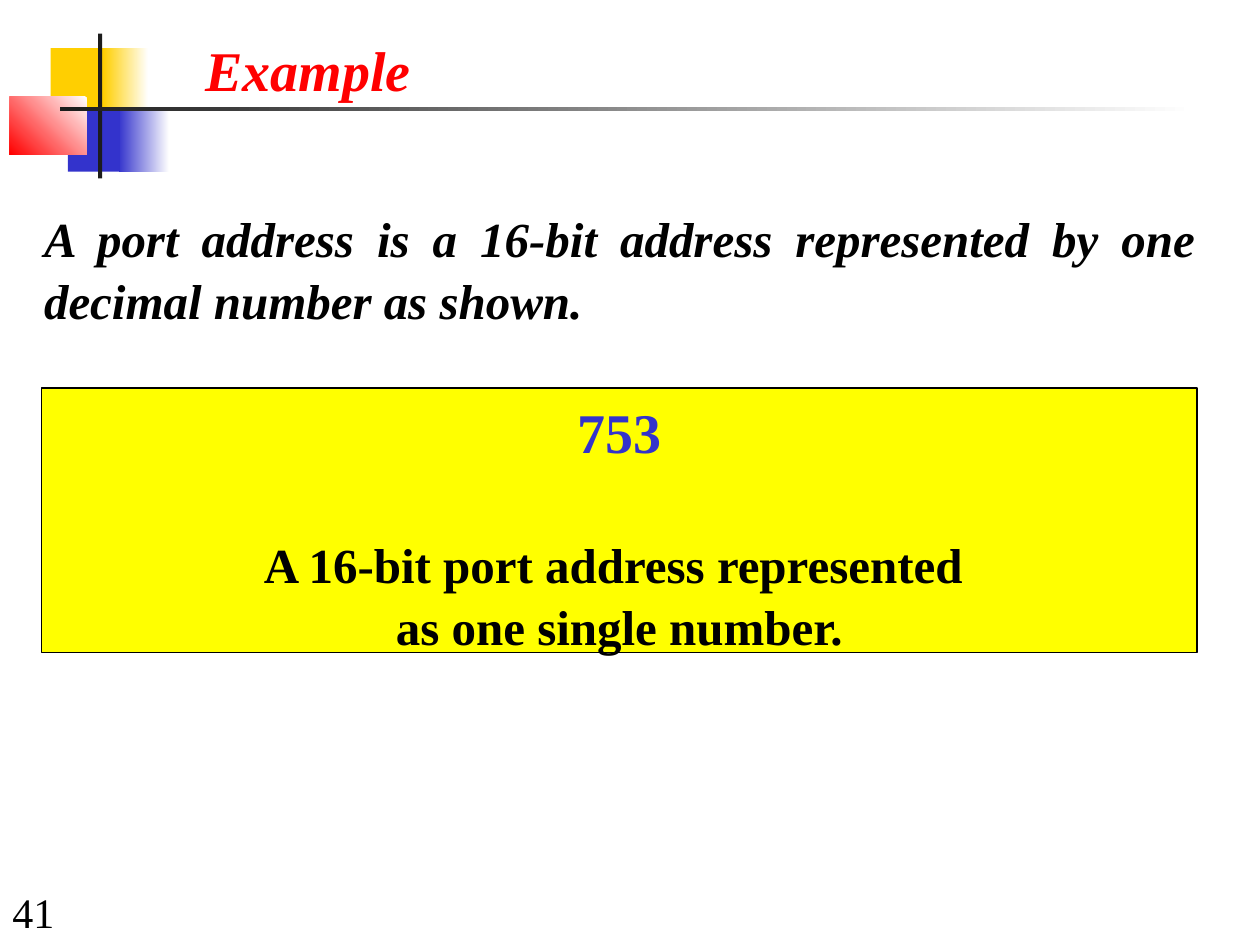
import pptx
import pptx.dml.color
import pptx.enum.shapes
import pptx.enum.text
import pptx.util

ALIGN = pptx.enum.text.PP_ALIGN
ANCHOR = pptx.enum.text.MSO_ANCHOR
RED, BLUE, GOLD = "FF0000", "3333CC", "FFCF01"
YELLOW, BLACK, WHITE, CHARCOAL = "FFFF00", "000000", "FFFFFF", "1C1C1C"


def color(value):
    return pptx.dml.color.RGBColor.from_string(value)


def lengths(*values):
    return [pptx.util.Cm(value) for value in values]


class SlideBuilder:
    font_name = "Times New Roman"
    line_spacing = 1.05

    def __init__(self, deck):
        self.page = deck.slides.add_slide(deck.slide_layouts[5])

    def rectangle(self, place, fill, fade_angle=None, line=None):
        shape = self.page.shapes.add_shape(
            pptx.enum.shapes.MSO_SHAPE.RECTANGLE, *lengths(*place))
        shape.shadow.inherit = False
        if fade_angle is None:
            shape.fill.solid()
            shape.fill.fore_color.rgb = color(fill)
        else:
            shape.fill.gradient()
            shape.fill.gradient_angle = fade_angle
            for stop, value in zip(shape.fill.gradient_stops, (WHITE, fill)):
                stop.color.rgb = color(value)
        if line:
            shape.line.color.rgb = color(line)
            shape.line.width = pptx.util.Pt(0.75)
        else:
            shape.line.fill.background()
        return shape

    def frame(self, box, anchor=ANCHOR.TOP, wrap=True):
        frame = box.text_frame
        frame.word_wrap = wrap
        frame.auto_size = pptx.enum.text.MSO_AUTO_SIZE.NONE
        frame.vertical_anchor = anchor
        frame.margin_left, frame.margin_top, frame.margin_right, frame.margin_bottom = lengths(
            0.25, 0.13, 0.25, 0.13)
        return frame

    def add_lines(self, para, lines, size, ink=BLACK, align=ALIGN.LEFT, bold=True, italic=False):
        para.alignment = align
        para.line_spacing = self.line_spacing
        for index, line in enumerate(lines):
            if index:
                para.add_line_break()
            span = para.add_run()
            span.text = line
            span.font.name = self.font_name
            span.font.size = pptx.util.Pt(size)
            span.font.bold = bold
            span.font.italic = italic
            span.font.color.rgb = color(ink)

    def title(self, place, text):
        box = self.page.shapes.title
        box.left, box.top, box.width, box.height = lengths(*place)
        frame = self.frame(box, wrap=False)
        self.add_lines(frame.paragraphs[0], [text], 32, RED, italic=True)

    def text(self, place, text, size, anchor=ANCHOR.TOP, **style):
        box = self.page.shapes.add_textbox(*lengths(*place))
        self.add_lines(self.frame(box, anchor).paragraphs[0], [text], size, **style)

    def panel(self, place, heading, lines):
        frame = self.frame(self.rectangle(place, YELLOW, line=BLACK))
        para = frame.paragraphs[0]
        self.add_lines(para, [heading], 32, BLUE, ALIGN.CENTER)
        para.space_after = pptx.util.Pt(38)
        self.add_lines(frame.add_paragraph(), lines, 28, align=ALIGN.CENTER)


def main():
    deck = pptx.Presentation()
    deck.slide_width, deck.slide_height = lengths(25.4, 19.05)
    slide = SlideBuilder(deck)

    slide.rectangle((1.02, 0.97, 1.22, 1.32), GOLD)
    slide.rectangle((2.08, 0.97, 0.91, 1.32), GOLD, 180)
    slide.rectangle((1.37, 2.16, 1.14, 1.3), BLUE)
    slide.rectangle((2.39, 2.16, 1.02, 1.3), BLUE, 180)
    slide.rectangle((0.2, 1.95, 1.55, 1.17), RED, 225)
    slide.rectangle((1.98, 0.68, 0.08, 2.92), CHARCOAL)
    slide.rectangle((1.22, 2.16, 22.86, 0.08), CHARCOAL, 180)

    slide.title((3.89, 0.51, 4.93, 1.63), "Example")
    slide.text((0.64, 4.01, 23.7, 2.64),
               "A port address is a 16-bit address represented by one decimal number as shown.",
               28, align=ALIGN.JUSTIFY, italic=True)
    slide.panel((0.84, 7.82, 23.29, 5.33), "753",
                ["A 16-bit port address represented ", "as one single number."])
    slide.text((0, 17.75, 5.28, 1.27), "41", 24, ANCHOR.BOTTOM, bold=False)

    deck.save("out.pptx")


if __name__ == "__main__":
    main()
